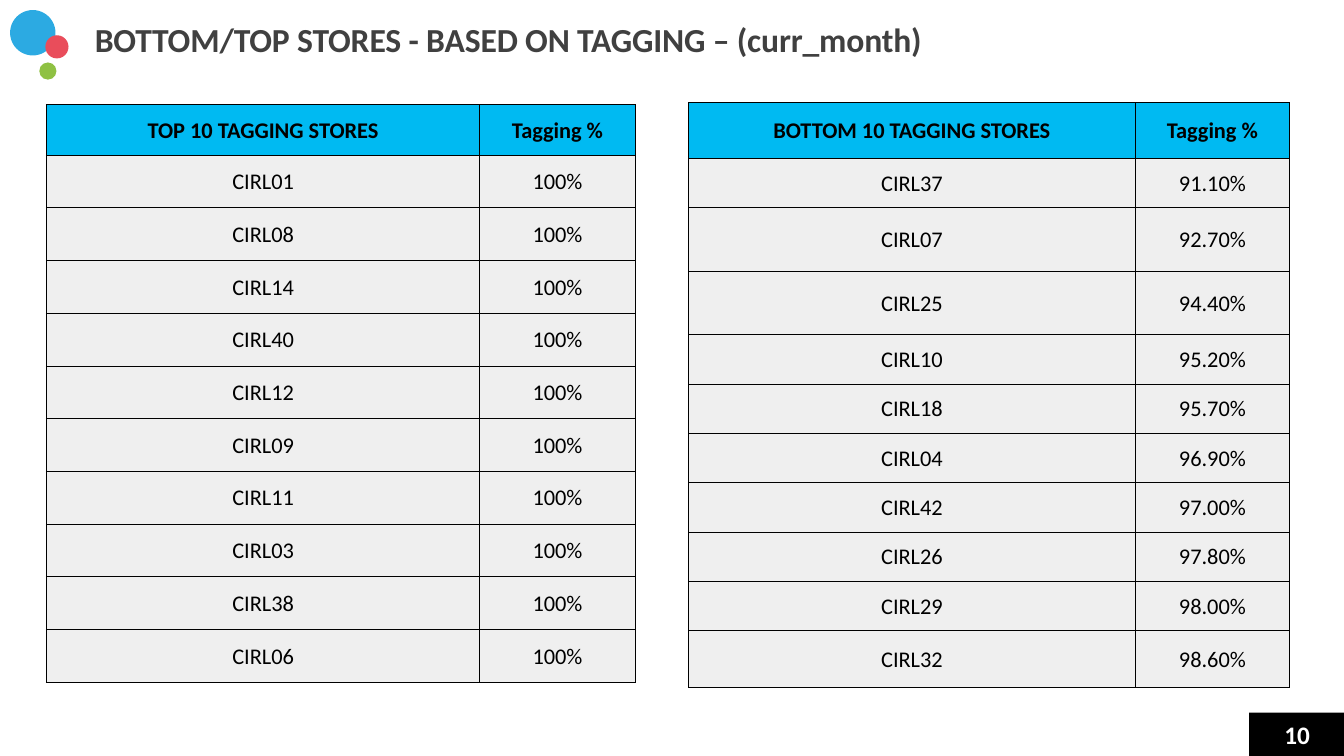
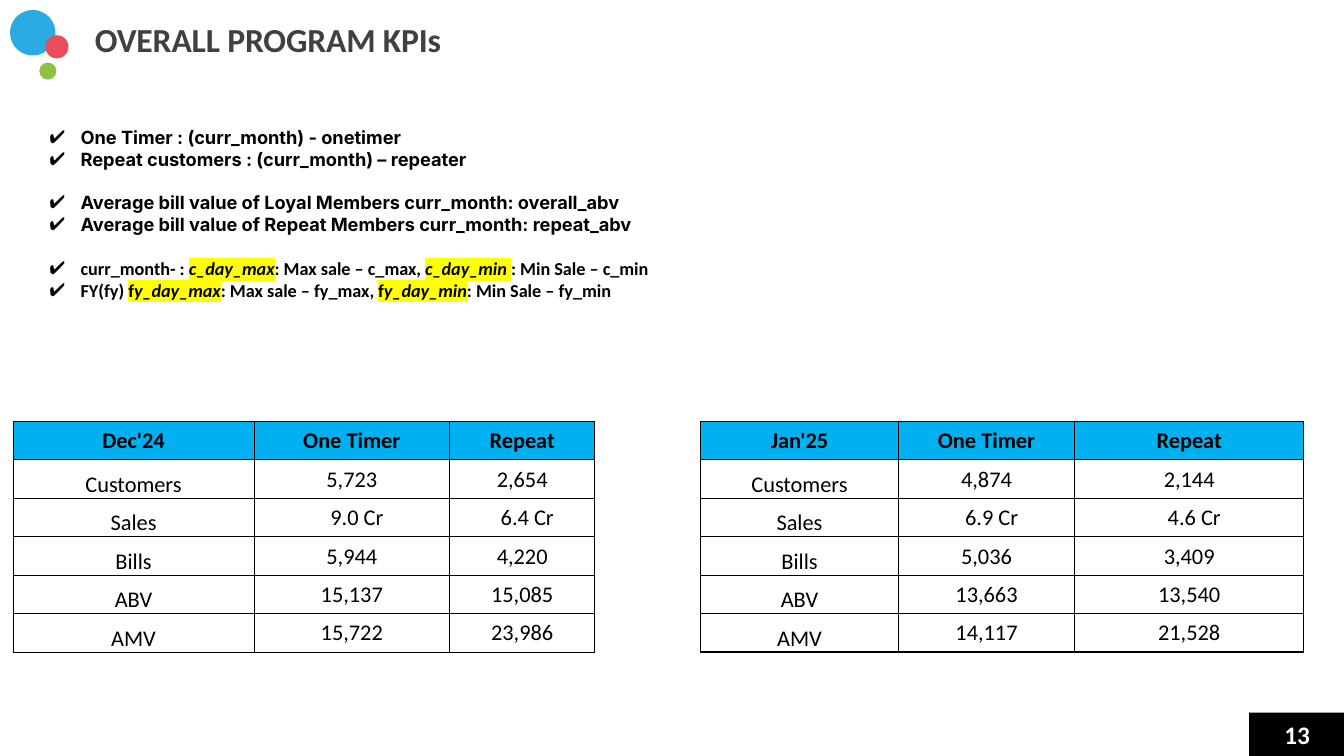
from lxml.etree import SubElement
from pptx import Presentation
from pptx.dml.color import RGBColor
from pptx.enum.shapes import MSO_SHAPE
from pptx.enum.text import MSO_ANCHOR, MSO_AUTO_SIZE, PP_ALIGN
from pptx.oxml.ns import qn
from pptx.util import Inches, Pt

BLACK = RGBColor(0x00, 0x00, 0x00)
WHITE = RGBColor(0xFF, 0xFF, 0xFF)
TITLE_GRAY = RGBColor(0x40, 0x40, 0x40)
DOT_BLUE = RGBColor(0x2C, 0xAA, 0xE2)
DOT_RED = RGBColor(0xE9, 0x4D, 0x5B)
DOT_GREEN = RGBColor(0x8F, 0xC1, 0x43)
STORE_HEADER = RGBColor(0x00, 0xBA, 0xF2)
STORE_ROW = RGBColor(0xEF, 0xEF, 0xEF)
KPI_HEADER = RGBColor(0x00, 0xB0, 0xF0)
YELLOW = RGBColor(0xFF, 0xFF, 0x00)

DOTS = [
    (0.1, 0.1, 0.45, DOT_BLUE),
    (0.45, 0.35, 0.23, DOT_RED),
    (0.39, 0.62, 0.17, DOT_GREEN),
]


def write_text(paragraph, text, size=16, font="Calibri", color=BLACK, bold=False,
               italic=False, highlight=None, align=None, spacing=None):
    """Add one formatted run; spacing is the letter spacing in points."""
    run = paragraph.add_run()
    run.text = text
    run.font.size = Pt(size)
    run.font.bold = bold
    run.font.italic = italic
    run.font.color.rgb = color
    run.font.name = font
    properties = run._r.get_or_add_rPr()
    if highlight is not None:
        mark = SubElement(properties, qn("a:highlight"))
        SubElement(mark, qn("a:srgbClr"), val=str(highlight))
        properties.find(qn("a:latin")).addprevious(mark)
    if spacing is not None:
        properties.set("spc", str(round(spacing * 100)))
    if align is not None:
        paragraph.alignment = align


def add_grid(slide, left, top, widths, heights, rows, header_fill, row_fill=None,
             border=0.75, label_anchor=MSO_ANCHOR.MIDDLE):
    """Add a bordered table; label_anchor places the first column below the header."""
    table = slide.shapes.add_table(
        len(rows), len(widths), Inches(left), Inches(top),
        Inches(sum(widths)), Inches(sum(heights))).table
    table.horz_banding = False
    for column, width in zip(table.columns, widths):
        column.width = Inches(width)
    for row_index, (values, height) in enumerate(zip(rows, heights)):
        table.rows[row_index].height = Inches(height)
        is_header = row_index == 0
        fill_color = header_fill if is_header else row_fill
        for column_index, value in enumerate(values):
            cell = table.cell(row_index, column_index)
            is_label = column_index == 0 and not is_header
            cell.vertical_anchor = label_anchor if is_label else MSO_ANCHOR.MIDDLE
            cell.margin_left = Inches(0.11 if value.endswith(" Cr") else 0.01)
            cell.margin_right = cell.margin_top = Inches(0.01)
            cell.margin_bottom = 0
            for side in ("a:lnL", "a:lnR", "a:lnT", "a:lnB"):
                line = SubElement(cell._tc.get_or_add_tcPr(), qn(side), w=str(Pt(border)))
                SubElement(SubElement(line, qn("a:solidFill")), qn("a:srgbClr"), val=str(BLACK))
            if fill_color is None:
                cell.fill.background()
            else:
                cell.fill.solid()
                cell.fill.fore_color.rgb = fill_color
            write_text(cell.text_frame.paragraphs[0], value, bold=is_header,
                       align=PP_ALIGN.CENTER)


presentation = Presentation()
presentation.slide_width = Inches(13.33)
presentation.slide_height = Inches(7.5)
content_layout = presentation.slide_layouts[1]
title_layout = presentation.slide_layouts[5]

# Title, dots and page number on every slide
slides = []
for layout, number, title_text in [
    (title_layout, "10", "BOTTOM/TOP STORES - BASED ON TAGGING – (curr_month)"),
    (content_layout, "13", "OVERALL PROGRAM KPIs"),
]:
    slide = presentation.slides.add_slide(layout)
    slides.append(slide)

    title = slide.shapes.title
    title.left, title.top = Inches(0.94), Inches(0.17)
    title.width, title.height = Inches(10.7), Inches(0.42)
    frame = title.text_frame
    frame.auto_size = MSO_AUTO_SIZE.NONE
    frame.vertical_anchor = MSO_ANCHOR.MIDDLE
    frame.margin_left = frame.margin_right = frame.margin_bottom = 0
    frame.margin_top = Inches(0.01)
    frame.paragraphs[0].space_before = Pt(1)
    write_text(frame.paragraphs[0], title_text, size=24, color=TITLE_GRAY, bold=True,
               align=PP_ALIGN.LEFT, spacing=-0.1)

    page_box = (MSO_SHAPE.RECTANGLE, 12.39, 7.07, 0.95, 0.43, BLACK)
    dots = [(MSO_SHAPE.OVAL, left, top, size, size, color) for left, top, size, color in DOTS]
    for kind, left, top, width, height, color in [*dots, page_box]:
        shape = slide.shapes.add_shape(
            kind, Inches(left), Inches(top), Inches(width), Inches(height))
        shape.shadow.inherit = False
        shape.fill.solid()
        shape.fill.fore_color.rgb = color
        shape.line.fill.background()
    shape.text_frame.vertical_anchor = MSO_ANCHOR.MIDDLE
    write_text(shape.text_frame.paragraphs[0], number, size=18, color=WHITE, bold=True,
               align=PP_ALIGN.CENTER)

stores_slide, kpi_slide = slides

# Top and bottom stores
top_stores = ["01", "08", "14", "40", "12", "09", "11", "03", "38", "06"]
bottom_stores = [
    ("37", "91.10%"), ("07", "92.70%"), ("25", "94.40%"), ("10", "95.20%"),
    ("18", "95.70%"), ("04", "96.90%"), ("42", "97.00%"), ("26", "97.80%"),
    ("29", "98.00%"), ("32", "98.60%"),
]
top_rows = [("TOP 10 TAGGING STORES", "Tagging %")]
top_rows += [(f"CIRL{store}", "100%") for store in top_stores]
bottom_rows = [("BOTTOM 10 TAGGING STORES", "Tagging %")]
bottom_rows += [(f"CIRL{store}", share) for store, share in bottom_stores]

add_grid(stores_slide, 0.46, 1.04, [4.3, 1.54], [0.5] + [5.23 / 10] * 10, top_rows,
         STORE_HEADER, STORE_ROW)
add_grid(stores_slide, 6.83, 1.02, [4.43, 1.53],
         [0.55, 0.49, 0.63, 0.63] + [0.49] * 6 + [0.56], bottom_rows,
         STORE_HEADER, STORE_ROW)

# KPI list: each item is a list of runs with their own format
inter = {"font": "Inter"}
marked = {"highlight": YELLOW}
marked_italic = {"highlight": YELLOW, "italic": True}
kpi_items = [
    [("One Timer : (curr_month) - onetimer", inter)],
    [("Repeat customers : (curr_month) – repeater", inter)],
    [("Average bill value of Loyal Members curr_month: overall_abv", inter)],
    [("Average bill value of Repeat Members curr_month: repeat_abv", inter)],
    [("curr_month- : ", {}), ("c_day_max", marked_italic), (": Max sale – c_max, ", {}),
     ("c_day_min ", marked_italic), (": Min Sale – c_min", {})],
    [("FY(fy) ", {}), ("f", marked), ("y_day_max", marked_italic),
     (": Max sale – fy_max, ", {}), ("f", marked), ("y_day_min", marked_italic),
     (": Min Sale – fy_min", {})],
]
body = kpi_slide.placeholders[1]
body.left, body.top = Inches(0.39), Inches(1.15)
body.width, body.height = Inches(7.76), Inches(1.95)
frame = body.text_frame
frame.auto_size = MSO_AUTO_SIZE.NONE
frame.vertical_anchor = MSO_ANCHOR.TOP
frame.margin_left = frame.margin_right = Inches(0.1)
frame.margin_top = frame.margin_bottom = Inches(0.1)
for index, runs in enumerate(kpi_items):
    paragraph = frame.paragraphs[0] if index == 0 else frame.add_paragraph()
    starts_pair = index > 0 and index % 2 == 0
    paragraph.space_before = Pt(15.7 if starts_pair else 0)
    properties = paragraph._p.get_or_add_pPr()
    properties.set("marL", str(Inches(0.31)))
    properties.set("indent", str(-Inches(0.31)))
    SubElement(SubElement(properties, qn("a:buClr")), qn("a:srgbClr"), val=str(BLACK))
    SubElement(properties, qn("a:buChar"), char="✔")
    for text, run_format in runs:
        write_text(paragraph, text, size=13, bold=True, **run_format)

# Monthly KPI tables
measures = ["Customers", "Sales", "Bills", "ABV", "AMV"]
months = [
    ("Dec'24", 0.13, [2.39, 1.94, 1.44], 0.75,
     ["5,723", "9.0 Cr", "5,944", "15,137", "15,722"],
     ["2,654", "6.4 Cr", "4,220", "15,085", "23,986"]),
    ("Jan'25", 6.95, [1.96, 1.75, 2.27], 1,
     ["4,874", "6.9 Cr", "5,036", "13,663", "14,117"],
     ["2,144", "4.6 Cr", "3,409", "13,540", "21,528"]),
]
for month, left, widths, border, one_timer, repeat in months:
    rows = [(month, "One Timer", "Repeat"), *zip(measures, one_timer, repeat)]
    add_grid(kpi_slide, left, 4.18, widths, [2.29 / len(rows)] * len(rows), rows,
             KPI_HEADER, border=border, label_anchor=MSO_ANCHOR.BOTTOM)

presentation.save("out.pptx")
